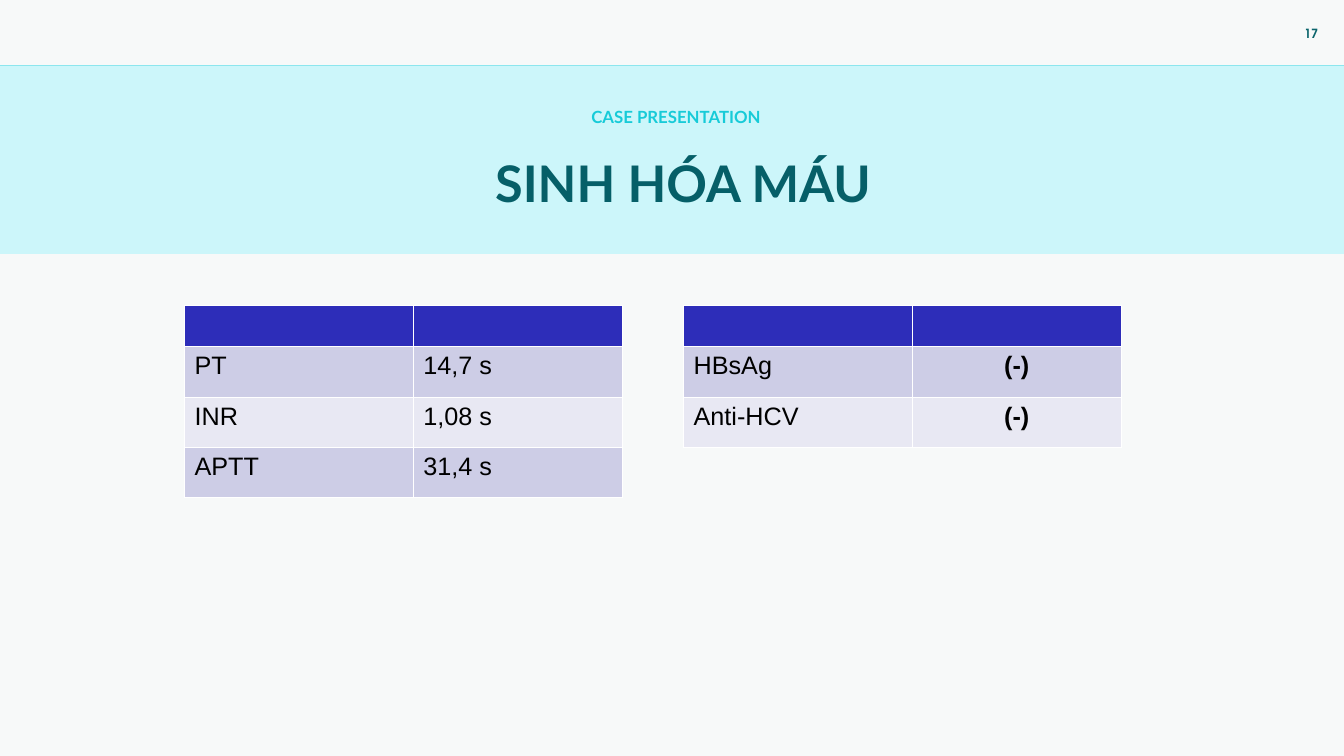
from lxml import etree
from pptx import Presentation, util as u
from pptx.dml.color import RGBColor
from pptx.enum import shapes, text
from pptx.oxml import ns

WIDTH, HEIGHT = 13.33, 7.5
BAND_TOP, BAND_HEIGHT = 0.65, 1.87
TABLE_LEFT, TABLE_TOP, TABLE_STEP = 1.83, 3.03, 4.95
COLUMNS = (2.27, 2.07)
HEADER_ROW, BODY_ROW = 0.41, 0.5
HEADER_FILL, STRIPES = "2D2DB9", ("CDCDE6", "E8E8F3")
COAGULATION = [("PT", "14,7 s"), ("INR", "1,08 s"), ("APTT", "31,4 s")]
HEPATITIS = [("HBsAg", "(-)"), ("Anti-HCV", "(-)")]
CENTER = text.PP_ALIGN.CENTER


def paint(color_format, color):
    color_format.rgb = RGBColor.from_string(color)


def fill_with(fill, color):
    fill.solid()
    paint(fill.fore_color, color)


def put_text(tf, content, size=18, font="Arial", color="000000", bold=False, align=None):
    tf.word_wrap = True
    p = tf.paragraphs[0]
    p.alignment = align
    r = p.add_run()
    r.text = content
    r.font.size = u.Pt(size)
    r.font.name = font
    r.font.bold = bold
    paint(r.font.color, color)


def add_label(s, content, box, **style):
    sp = s.shapes.add_textbox(*map(u.Inches, box))
    put_text(sp.text_frame, content, bold=True, align=CENTER, **style)


def add_rule(s, y, color):
    line = s.shapes.add_connector(shapes.MSO_CONNECTOR.STRAIGHT, 0, u.Inches(y),
                                  u.Inches(WIDTH), u.Inches(y))
    paint(line.line.color, color)
    line.line.width = u.Pt(0.75)
    etree.SubElement(line._element.spPr, ns.qn("a:effectLst"))


def add_band(s, color):
    sp = s.shapes.add_shape(shapes.MSO_SHAPE.RECTANGLE, 0, u.Inches(BAND_TOP),
                            u.Inches(WIDTH), u.Inches(BAND_HEIGHT))
    sp.shadow.inherit = False
    fill_with(sp.fill, color)
    sp.line.fill.background()


def place_title(s, content, box, **style):
    sp = s.shapes.title
    sp.left, sp.top, sp.width, sp.height = map(u.Inches, box)
    s.shapes._spTree.append(sp._element)
    sp.text_frame.auto_size = text.MSO_AUTO_SIZE.NONE
    put_text(sp.text_frame, content, bold=True, align=CENTER, **style)


def add_borders(cell, color, width):
    tcPr = cell._tc.get_or_add_tcPr()
    for side in ("lnL", "lnR", "lnT", "lnB"):
        ln = etree.SubElement(tcPr, ns.qn(f"a:{side}"), w=str(u.Pt(width)))
        solid = etree.SubElement(ln, ns.qn("a:solidFill"))
        etree.SubElement(solid, ns.qn("a:srgbClr"), val=color)


def add_results(s, left, results, **value_style):
    heights = [HEADER_ROW] + [BODY_ROW] * len(results)
    table = s.shapes.add_table(len(heights), len(COLUMNS), u.Inches(left), u.Inches(TABLE_TOP),
                               u.Inches(sum(COLUMNS)), u.Inches(sum(heights))).table
    for column, width in zip(table.columns, COLUMNS):
        column.width = u.Inches(width)
    for i, height in enumerate(heights):
        table.rows[i].height = u.Inches(height)
        for j, cell in enumerate(table.rows[i].cells):
            add_borders(cell, "FFFFFF", 0.75)
            fill_with(cell.fill, STRIPES[(i - 1) % 2] if i else HEADER_FILL)
            if i:
                put_text(cell.text_frame, results[i - 1][j], **(value_style if j else {}))


def main():
    prs = Presentation()
    prs.slide_width, prs.slide_height = u.Inches(WIDTH), u.Inches(HEIGHT)
    s = prs.slides.add_slide(prs.slide_layouts[5])
    fill_with(s.background.fill, "F7F9F9")
    add_rule(s, BAND_TOP, "17CBD8")
    add_label(s, "17", (12.78, 0.21, 0.45, 0.27), size=9, font="TeX Gyre Adventor", color="0B656C")
    add_band(s, "CCF6FA")
    place_title(s, "SINH HÓA MÁU", (4.67, 1.45, 4.21, 0.71), size=36, font="Lato", color="065F68")
    add_label(s, "CASE PRESENTATION", (1.83, 1.01, 9.75, 0.3), size=12, font="Lato", color="17CBD8")
    add_results(s, TABLE_LEFT, COAGULATION)
    add_results(s, TABLE_LEFT + TABLE_STEP, HEPATITIS, bold=True, align=CENTER)
    prs.save("out.pptx")


if __name__ == "__main__":
    main()
